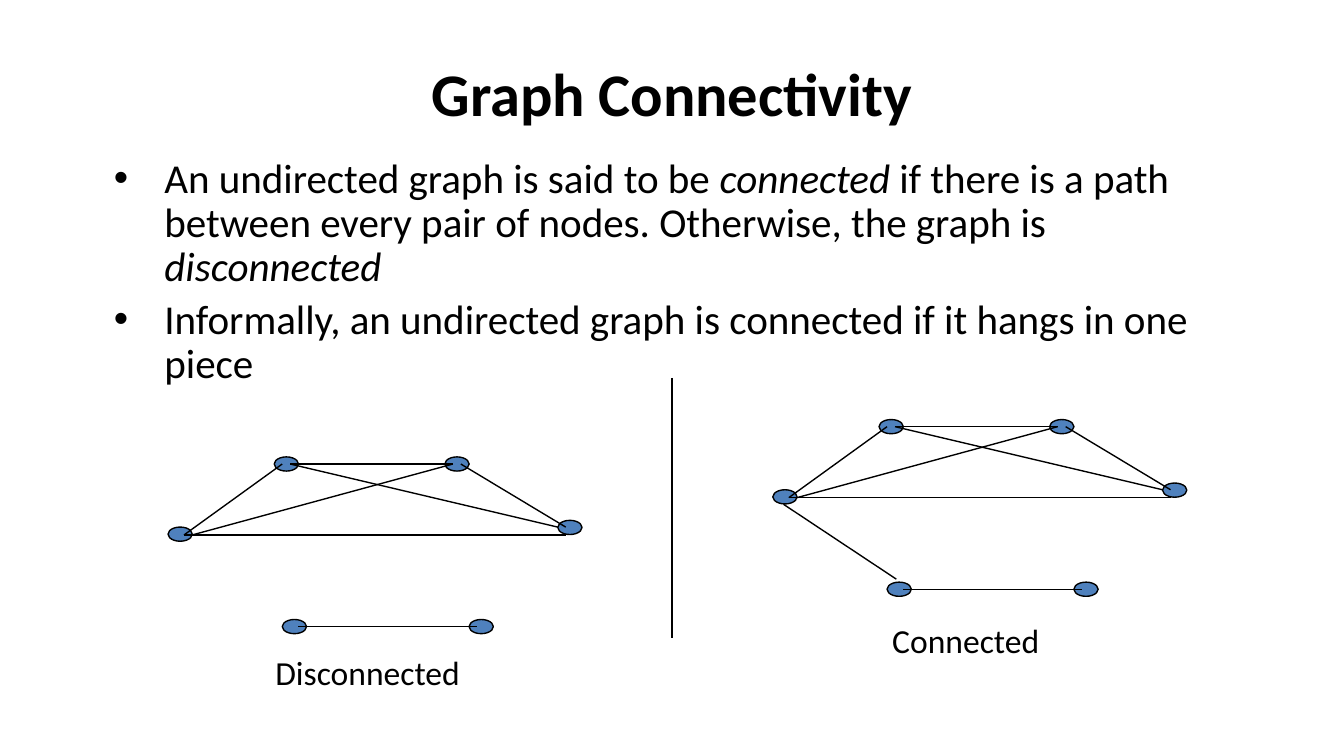
import pptx
import pptx.dml.color
import pptx.enum.shapes
import pptx.enum.text
import pptx.oxml.ns
import pptx.util
from lxml import etree

Pt = pptx.util.Pt
qn = pptx.oxml.ns.qn

NODES = [(0, 37.6), (56.9, 0), (61.2, 87.1), (161.3, 87.1), (208.8, 34), (148.3, 0)]
EDGES = [
    ((65.5, 3.8), (152.6, 3.8)),
    ((8.6, 41.8), (213.1, 41.8)),
    ((8.6, 41.8), (61.2, 3.8)),
    ((156.9, 3.8), (213.1, 37.6)),
    ((69.8, 90.9), (165.6, 90.9)),
    ((13, 41.8), (152.6, 3.8)),
    ((65.5, 3.8), (208.8, 37.6)),
]
BRIDGE = ((66.2, 85.5), (5.8, 45.4))
BULLETS = [
    [
        ("An undirected graph is said to be ", False),
        ("connected", True),
        (" if there is a path between every pair of nodes. Otherwise, the graph is ", False),
        ("disconnected", True),
    ],
    [("Informally, an undirected graph is connected if it hangs in one piece", False)],
]


def color(value):
    return pptx.dml.color.RGBColor.from_string(value)


class SlideBuilder:
    font_name = "Calibri"
    ink = "000000"
    node_fill = "4F81BD"
    line_width = 0.75
    node_size = (13, 7.6)

    def __init__(self, slide):
        self.slide = slide

    def style(self, paragraph, size, bold=False):
        font = paragraph.font
        font.name = self.font_name
        font.size = Pt(size)
        font.bold = bold
        font.color.rgb = color(self.ink)

    def text_box(self, box, wrap=True):
        shape = self.slide.shapes.add_textbox(*map(Pt, box))
        shape.text_frame.word_wrap = wrap
        return shape.text_frame

    def title(self, text, box):
        frame = self.text_box(box)
        frame.vertical_anchor = pptx.enum.text.MSO_ANCHOR.MIDDLE
        paragraph = frame.paragraphs[0]
        paragraph.text = text
        paragraph.alignment = pptx.enum.text.PP_ALIGN.CENTER
        self.style(paragraph, 32.4, bold=True)

    def label(self, text, box):
        paragraph = self.text_box(box, wrap=False).paragraphs[0]
        paragraph.text = text
        self.style(paragraph, 18)

    def bullets(self, items, box, indent=27):
        frame = self.text_box(box)
        for index, runs in enumerate(items):
            paragraph = frame.add_paragraph() if index else frame.paragraphs[0]
            properties = paragraph._p.get_or_add_pPr()
            properties.set("marL", str(Pt(indent)))
            properties.set("indent", str(-Pt(indent)))
            etree.SubElement(properties, qn("a:buFont")).set("typeface", "Arial")
            etree.SubElement(properties, qn("a:buChar")).set("char", "•")
            paragraph.line_spacing = 0.9
            if index:
                paragraph.space_before = Pt(4.4)
            self.style(paragraph, 22)
            for text, italic in runs:
                run = paragraph.add_run()
                run.text = text
                run.font.italic = italic

    def node(self, x, y):
        oval = pptx.enum.shapes.MSO_SHAPE.OVAL
        shape = self.slide.shapes.add_shape(oval, *map(Pt, (x, y, *self.node_size)))
        shape.shadow.inherit = False
        shape.fill.solid()
        shape.fill.fore_color.rgb = color(self.node_fill)
        shape.line.color.rgb = color(self.ink)
        shape.line.width = Pt(self.line_width)

    def line(self, start, end):
        straight = pptx.enum.shapes.MSO_CONNECTOR.STRAIGHT
        connector = self.slide.shapes.add_connector(straight, *map(Pt, (*start, *end)))
        connector.line.color.rgb = color(self.ink)
        connector.line.width = Pt(self.line_width)
        etree.SubElement(connector._element.spPr, qn("a:effectLst"))

    def graph(self, left, top, edges):
        for x, y in NODES:
            self.node(left + x, top + y)
        for edge in edges:
            self.line(*[(left + x, top + y) for x, y in edge])


def main():
    presentation = pptx.Presentation()
    presentation.slide_width = Pt(720)
    presentation.slide_height = Pt(405)
    builder = SlideBuilder(presentation.slides.add_slide(presentation.slide_layouts[6]))

    builder.title("Graph Connectivity", (54, 27, 612, 45))
    builder.bullets(BULLETS, (54, 81, 612, 279))
    builder.graph(90, 244.8, EDGES)
    builder.graph(414, 224.8, EDGES + [BRIDGE])
    builder.line((360, 202.5), (360, 342))
    builder.label("Disconnected", (140.4, 345.6, 114.5, 29))
    builder.label("Connected", (470.9, 328.3, 94.3, 29))

    presentation.save("out.pptx")


if __name__ == "__main__":
    main()
